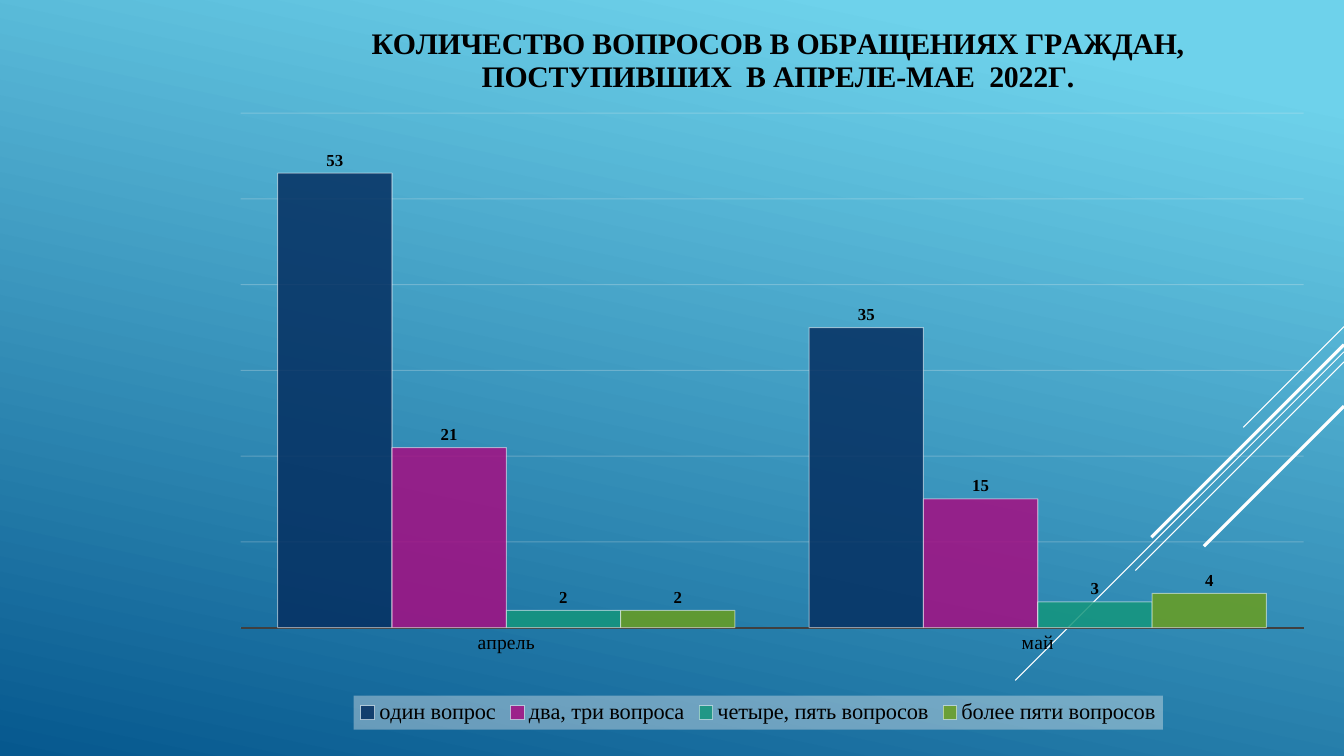
import lxml.etree
import pptx
import pptx.chart.data
import pptx.dml.color
import pptx.enum.chart
import pptx.enum.shapes
import pptx.oxml
import pptx.oxml.ns
import pptx.util

Inches = pptx.util.Inches
Pt = pptx.util.Pt
RGBColor = pptx.dml.color.RGBColor
qn = pptx.oxml.ns.qn

SKY = RGBColor(0x6E, 0xD2, 0xEB)
DEEP_BLUE = RGBColor(0x06, 0x58, 0x8E)
WHITE = RGBColor(0xFF, 0xFF, 0xFF)
BLACK = RGBColor(0, 0, 0)
AXIS_GRAY = RGBColor(0x40, 0x40, 0x40)
GRID_GRAY = RGBColor(0xF2, 0xF2, 0xF2)
NAVY = RGBColor(0x05, 0x2F, 0x61)
MAGENTA = RGBColor(0xA5, 0x0E, 0x82)
TEAL = RGBColor(0x14, 0x96, 0x7C)
GREEN = RGBColor(0x6A, 0x9E, 0x1F)

SERIF = "Times New Roman"
TITLE_LINES = (
    "КОЛИЧЕСТВО ВОПРОСОВ В ОБРАЩЕНИЯХ ГРАЖДАН,",
    "ПОСТУПИВШИХ  В АПРЕЛЕ-МАЕ  2022Г.",
)
MONTHS = ("апрель", "май")
SERIES = (
    ("один вопрос", (53, 35), NAVY),
    ("два, три вопроса", (21, 15), MAGENTA),
    ("четыре, пять вопросов", (2, 3), TEAL),
    ("более пяти вопросов", (2, 4), GREEN),
)
DIAGONALS = (
    (3.24, 1, 0.75),
    (3.49, 3.26, 0.75),
    (3.59, 2.07, 0.75),
    (3.42, 1.91, 2.25),
    (4.03, 1.39, 2.25),
)


def set_opacity(properties, percent):
    color = properties.find(".//" + qn("a:srgbClr"))
    lxml.etree.SubElement(color, qn("a:alpha")).set("val", str(percent * 1000))


def set_font(font, size, bold=False):
    font.name = SERIF
    font.size = Pt(size)
    font.bold = bold
    font.color.rgb = BLACK


def set_layout(parent, index, **settings):
    for old_layout in parent.findall(qn("c:layout")):
        parent.remove(old_layout)
    layout = lxml.etree.Element(qn("c:layout"))
    manual = lxml.etree.SubElement(layout, qn("c:manualLayout"))
    for name, value in settings.items():
        lxml.etree.SubElement(manual, qn("c:" + name)).set("val", str(value))
    parent.insert(index, layout)


def paint_background(slide):
    fill = slide.background.fill
    fill.gradient()
    fill.gradient_angle = 258
    for stop, position, color in zip(fill.gradient_stops, (0.1, 1), (SKY, DEEP_BLUE)):
        stop.position = position
        stop.color.rgb = color


def add_diagonals(slide, right):
    for top, reach, width in DIAGONALS:
        connector = slide.shapes.add_connector(
            pptx.enum.shapes.MSO_CONNECTOR.STRAIGHT,
            Inches(right), Inches(top), Inches(right - reach), Inches(top + reach),
        )
        connector.line.color.rgb = WHITE
        connector.line.width = Pt(width)
        lxml.etree.SubElement(connector._element.spPr, qn("a:effectLst"))


def style_title(chart):
    title = chart.chart_title
    frame = title.text_frame
    frame.text = "\n".join(TITLE_LINES)
    for paragraph in frame.paragraphs:
        set_font(paragraph.font, 21.3, bold=True)
    set_layout(title._element, 1, xMode="edge", yMode="edge", x=0.15, y=0.01)


def style_axes(chart):
    months = chart.category_axis
    months.major_tick_mark = pptx.enum.chart.XL_TICK_MARK.NONE
    months.format.line.color.rgb = AXIS_GRAY
    months.format.line.width = Pt(1.5)
    set_font(months.tick_labels.font, 14)

    counts = chart.value_axis
    counts.visible = False
    counts.minimum_scale = 0
    counts.maximum_scale = 60
    counts.major_unit = 10
    grid = counts.major_gridlines.format.line
    grid.color.rgb = GRID_GRAY
    grid.width = Pt(0.75)
    set_opacity(counts.major_gridlines._xAx.find(qn("c:majorGridlines")), 25)


def style_bars(chart):
    plot = chart.plots[0]
    plot.gap_width = 65
    plot.overlap = 0
    plot.vary_by_categories = False
    for series, (_, _, color) in zip(plot.series, SERIES):
        series.format.fill.solid()
        series.format.fill.fore_color.rgb = color
        properties = series._element.find(qn("c:spPr"))
        set_opacity(properties, 85)
        series.format.line.color.rgb = WHITE
        series.format.line.width = Pt(0.75)
        set_opacity(properties.find(qn("a:ln")), 50)
        labels = series.data_labels
        labels.show_value = True
        labels.position = pptx.enum.chart.XL_LABEL_POSITION.OUTSIDE_END
        set_font(labels.font, 12, bold=True)


def style_legend(chart):
    chart.has_legend = True
    legend = chart.legend
    legend.position = pptx.enum.chart.XL_LEGEND_POSITION.BOTTOM
    legend.include_in_layout = False
    set_font(legend.font, 16)
    properties = lxml.etree.Element(qn("c:spPr"))
    fill = lxml.etree.SubElement(properties, qn("a:solidFill"))
    lxml.etree.SubElement(fill, qn("a:srgbClr")).set("val", str(GRID_GRAY))
    set_opacity(properties, 39)
    legend._element.find(qn("c:txPr")).addprevious(properties)


def add_question_chart(slide, left, top, width, height):
    data = pptx.chart.data.CategoryChartData()
    data.categories = MONTHS
    for name, values, _ in SERIES:
        data.add_series(name, values)
    chart = slide.shapes.add_chart(
        pptx.enum.chart.XL_CHART_TYPE.COLUMN_CLUSTERED,
        Inches(left), Inches(top), Inches(width), Inches(height), data,
    ).chart
    chart.font.name = "League Spartan"
    chart.font.size = Pt(10)
    chart.font.color.rgb = WHITE
    style_title(chart)
    style_axes(chart)
    style_bars(chart)
    style_legend(chart)
    plot_area = chart._chartSpace.find(".//" + qn("c:plotArea"))
    set_layout(
        plot_area, 0, layoutTarget="inner", xMode="edge", yMode="edge",
        x=0.035, y=0.136, w=0.955, h=0.721,
    )


def main():
    presentation = pptx.Presentation()
    presentation.slide_width = Inches(13.33)
    presentation.slide_height = Inches(7.5)
    slide = presentation.slides.add_slide(presentation.slide_layouts[6])
    paint_background(slide)
    add_diagonals(slide, 13.33)
    add_question_chart(slide, 2, 0.16, 11.04, 7.08)
    presentation.save("out.pptx")


if __name__ == "__main__":
    main()
